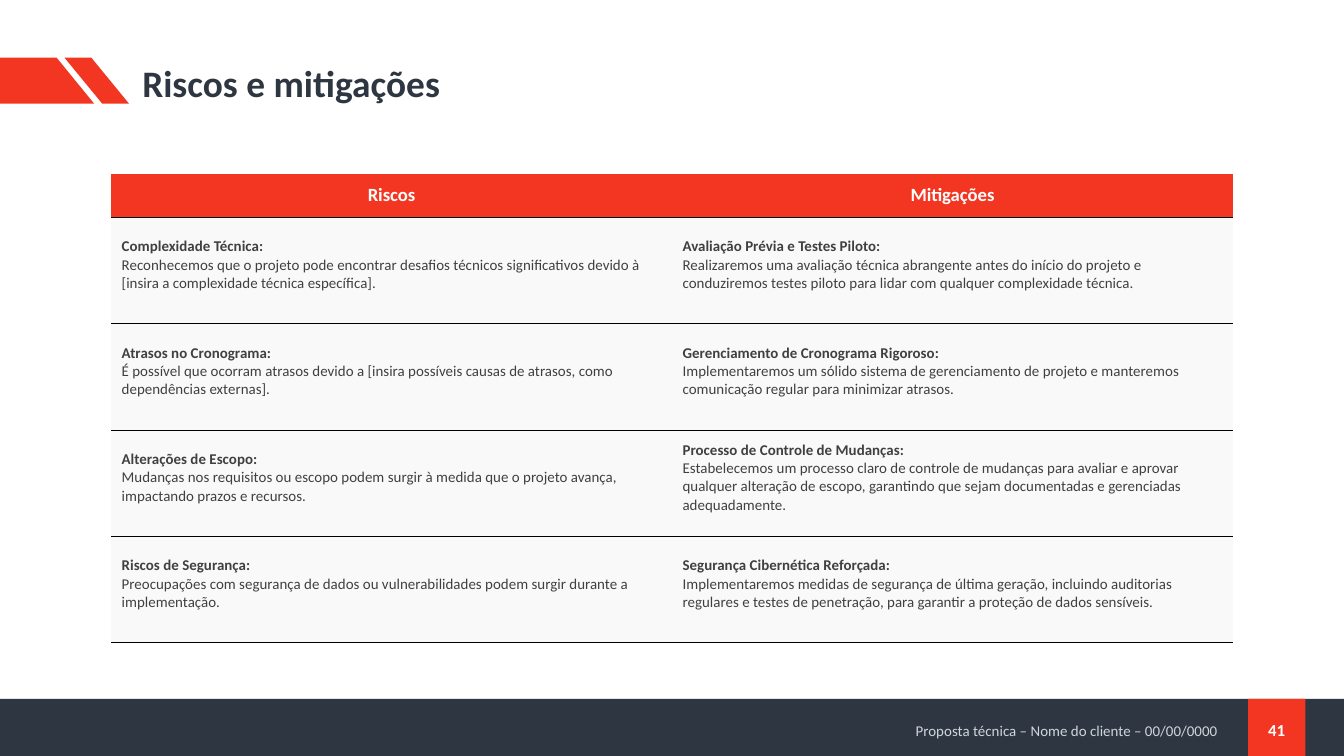
from typing import NamedTuple

from lxml.etree import SubElement
from pptx import Presentation
from pptx.dml.color import RGBColor
from pptx.enum.shapes import MSO_SHAPE
from pptx.enum.text import MSO_ANCHOR, PP_ALIGN
from pptx.oxml.ns import qn
from pptx.util import Cm, Pt

NAVY = RGBColor(0x2E, 0x36, 0x41)
RED = RGBColor(0xF2, 0x36, 0x22)
WHITE = RGBColor(0xFF, 0xFF, 0xFF)
PALE = RGBColor(0xF9, 0xF9, 0xF9)
DARK_GREY = RGBColor(0x40, 0x40, 0x40)
LIGHT_GREY = RGBColor(0xCF, 0xD6, 0xDC)
BLACK = RGBColor(0, 0, 0)
FONT = "Calibri"


class Entry(NamedTuple):
    heading: str
    detail: str


class RiskRow(NamedTuple):
    risk: Entry
    mitigation: Entry


HEADERS = ("Riscos", "Mitigações")
RISK_ROWS = (
    RiskRow(
        Entry("Complexidade Técnica:",
              "Reconhecemos que o projeto pode encontrar desafios técnicos significativos "
              "devido à [insira a complexidade técnica específica]."),
        Entry("Avaliação Prévia e Testes Piloto:",
              "Realizaremos uma avaliação técnica abrangente antes do início do projeto e "
              "conduziremos testes piloto para lidar com qualquer complexidade técnica."),
    ),
    RiskRow(
        Entry("Atrasos no Cronograma:",
              "É possível que ocorram atrasos devido a [insira possíveis causas de atrasos, "
              "como dependências externas]."),
        Entry("Gerenciamento de Cronograma Rigoroso:",
              "Implementaremos um sólido sistema de gerenciamento de projeto e manteremos "
              "comunicação regular para minimizar atrasos."),
    ),
    RiskRow(
        Entry("Alterações de Escopo:",
              "Mudanças nos requisitos ou escopo podem surgir à medida que o projeto avança, "
              "impactando prazos e recursos."),
        Entry("Processo de Controle de Mudanças:",
              "Estabelecemos um processo claro de controle de mudanças para avaliar e aprovar "
              "qualquer alteração de escopo, garantindo que sejam documentadas e gerenciadas "
              "adequadamente."),
    ),
    RiskRow(
        Entry("Riscos de Segurança:",
              "Preocupações com segurança de dados ou vulnerabilidades podem surgir durante a "
              "implementação."),
        Entry("Segurança Cibernética Reforçada:",
              "Implementaremos medidas de segurança de última geração, incluindo auditorias "
              "regulares e testes de penetração, para garantir a proteção de dados sensíveis."),
    ),
)


def write(para, text: str, *, size: float, color: RGBColor, bold: bool = False,
          align=PP_ALIGN.LEFT, line_spacing: float = 1.0) -> None:
    para.alignment = align
    para.line_spacing = line_spacing
    span = para.add_run()
    span.text = text
    span.font.name = FONT
    span.font.size = Pt(size)
    span.font.bold = bold
    span.font.color.rgb = color


def paint(shape, color: RGBColor) -> None:
    shape.shadow.inherit = False
    shape.fill.solid()
    shape.fill.fore_color.rgb = color
    shape.line.fill.background()


def add_block(page, kind, left: float, top: float, width: float, height: float,
              color: RGBColor):
    block = page.shapes.add_shape(kind, Cm(left), Cm(top), Cm(width), Cm(height))
    paint(block, color)
    return block


def add_text(page, text: str, left: float, top: float, width: float, height: float,
             **text_format):
    box = page.shapes.add_textbox(Cm(left), Cm(top), Cm(width), Cm(height))
    frame = box.text_frame
    frame.word_wrap = True
    frame.vertical_anchor = MSO_ANCHOR.MIDDLE
    write(frame.paragraphs[0], text, **text_format)
    return box


def add_title_marker(page) -> None:
    """Draw the slanted red band that leads into the title."""
    builder = page.shapes.build_freeform(Cm(0), Cm(1.09))
    builder.add_line_segments(
        [(Cm(1.07), Cm(1.09)), (Cm(1.78), Cm(1.96)), (Cm(0), Cm(1.96))], close=True)
    paint(builder.convert_to_shape(), RED)
    stripe = add_block(page, MSO_SHAPE.PARALLELOGRAM, 1.22, 1.09, 1.22, 0.87, RED)
    stripe.adjustments[0] = 0.82
    stripe.element.spPr.find(qn("a:xfrm")).set("flipH", "1")


def format_cell(cell, fill: RGBColor, top_margin: float) -> None:
    """Set fill, margins, anchor and a thin rule below the cell."""
    cell.vertical_anchor = MSO_ANCHOR.MIDDLE
    cell.margin_left = cell.margin_right = cell.margin_bottom = Cm(0.2)
    cell.margin_top = Cm(top_margin)
    properties = cell._tc.get_or_add_tcPr()
    for side in ("a:lnL", "a:lnR", "a:lnT"):
        SubElement(SubElement(properties, qn(side), w="0"), qn("a:noFill"))
    rule = SubElement(properties, qn("a:lnB"), w=str(Pt(0.25)))
    SubElement(SubElement(rule, qn("a:solidFill")), qn("a:srgbClr"), val=str(BLACK))
    cell.fill.solid()
    cell.fill.fore_color.rgb = fill


def add_risk_table(page) -> None:
    header_height, row_height, column_width = 0.81, 2.01, 10.6
    frame = page.shapes.add_table(
        len(RISK_ROWS) + 1, len(HEADERS), Cm(2.1), Cm(3.28),
        Cm(column_width * len(HEADERS)), Cm(header_height + row_height * len(RISK_ROWS)))
    table = frame.table
    table.horz_banding = False
    for column in table.columns:
        column.width = Cm(column_width)
    for index, row in enumerate(table.rows):
        row.height = Cm(row_height if index else header_height)

    for cell, header in zip(table.rows[0].cells, HEADERS):
        format_cell(cell, RED, 0.2)
        write(cell.text_frame.paragraphs[0], header, size=10, color=WHITE, bold=True,
              align=PP_ALIGN.CENTER)
    for row_number, risk_row in enumerate(RISK_ROWS, start=1):
        for cell, entry in zip(table.rows[row_number].cells, risk_row):
            format_cell(cell, PALE, 0)
            text = cell.text_frame
            write(text.paragraphs[0], entry.heading, size=8, color=DARK_GREY, bold=True)
            write(text.add_paragraph(), entry.detail, size=8, color=DARK_GREY)


def main() -> None:
    deck = Presentation()
    deck.slide_width, deck.slide_height = Cm(25.4), Cm(14.29)
    page = deck.slides.add_slide(deck.slide_layouts[6])

    add_block(page, MSO_SHAPE.RECTANGLE, 0, 13.21, 25.4, 1.08, NAVY)
    add_block(page, MSO_SHAPE.RECTANGLE, 23.59, 13.21, 1.08, 1.08, RED)
    add_title_marker(page)
    footer = add_text(page, "Proposta técnica – Nome do cliente – 00/00/0000",
                      14.2, 13.56, 9.22, 0.53, size=8, color=LIGHT_GREY,
                      align=PP_ALIGN.RIGHT, line_spacing=0.9)
    footer.text_frame.margin_right = Cm(0.4)
    add_risk_table(page)
    add_text(page, "Riscos e mitigações", 2.44, 1.09, 22.23, 1.04,
             size=20, color=NAVY, bold=True, line_spacing=0.9)
    number = add_text(page, "41", 23.59, 13.42, 1.08, 0.76, size=9, color=WHITE,
                      bold=True, align=PP_ALIGN.CENTER)
    number.text_frame.margin_left = number.text_frame.margin_right = Cm(0)

    deck.save("out.pptx")


if __name__ == "__main__":
    main()
